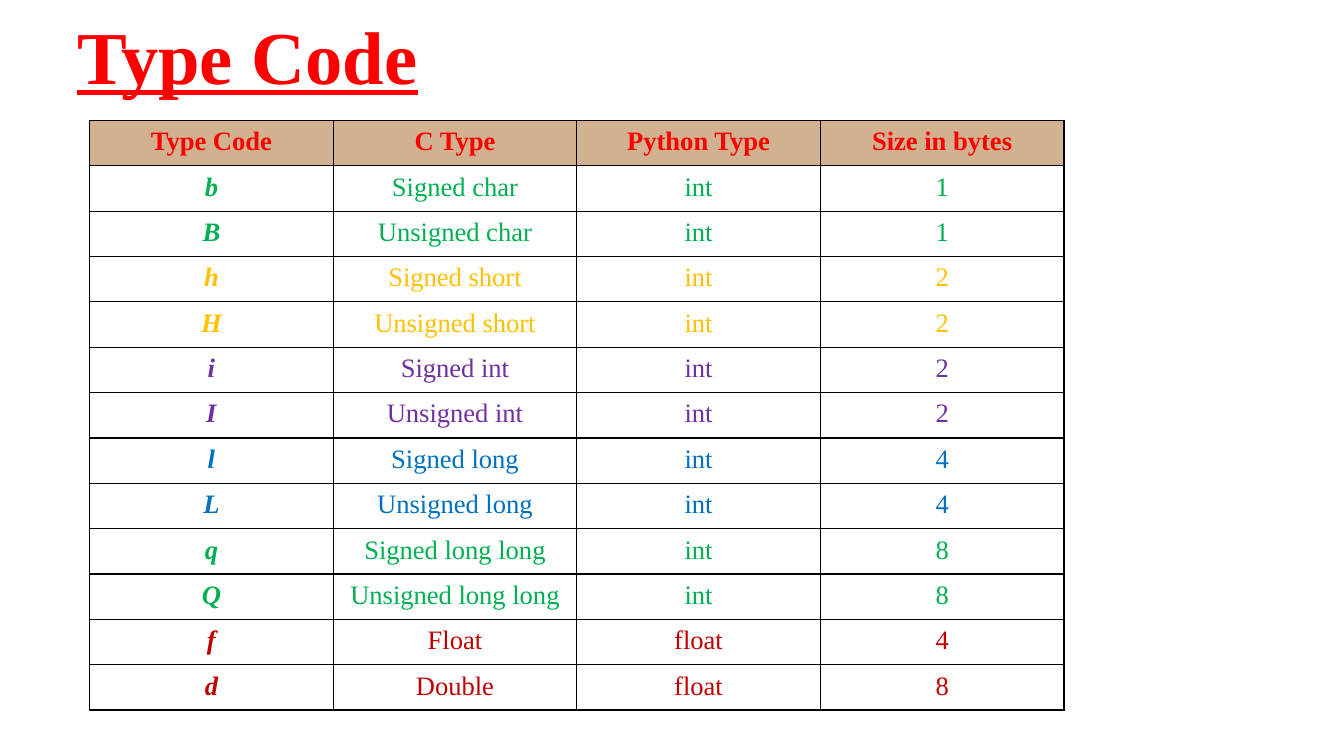
from lxml.etree import SubElement
from pptx import Presentation
from pptx.dml.color import RGBColor
from pptx.enum.text import MSO_ANCHOR, PP_ALIGN
from pptx.oxml.ns import qn
from pptx.util import Pt

COLORS = {
    "red": "FF0000", "tan": "D2B191", "black": "000000", "green": "00B050",
    "gold": "FFC000", "purple": "7030A0", "blue": "0070C0", "dark_red": "C00000",
}
FONT = "Times New Roman"
HEADER = ("Type Code", "C Type", "Python Type", "Size in bytes")
TYPES = [
    ("b", "Signed char", "int", "1", "green"),
    ("B", "Unsigned char", "int", "1", "green"),
    ("h", "Signed short", "int", "2", "gold"),
    ("H", "Unsigned short", "int", "2", "gold"),
    ("i", "Signed int", "int", "2", "purple"),
    ("I", "Unsigned int", "int", "2", "purple"),
    ("l", "Signed long", "int", "4", "blue"),
    ("L", "Unsigned long", "int", "4", "blue"),
    ("q", "Signed long long", "int", "8", "green"),
    ("Q", "Unsigned long long", "int", "8", "green"),
    ("f", "Float", "float", "4", "dark_red"),
    ("d", "Double", "float", "8", "dark_red"),
]


def rgb(name):
    return RGBColor.from_string(COLORS[name])


def add_text(p, text, color, **fmt):
    r = p.add_run()
    r.text = text
    for key, value in {"name": FONT, **fmt}.items():
        setattr(r.font, key, value)
    r.font.color.rgb = rgb(color)


def add_title(slide, x, y, w, h):
    tf = slide.shapes.add_textbox(Pt(x), Pt(y), Pt(w), Pt(h)).text_frame
    tf.word_wrap = True
    tf.vertical_anchor = MSO_ANCHOR.MIDDLE
    p = tf.paragraphs[0]
    p.line_spacing = 0.9
    add_text(p, "Type Code", "red", size=Pt(53.3), bold=True, underline=True)


def set_borders(cell):
    """Draw a 1 pt black line on each side; called before the fill is set."""
    tc_pr = cell._tc.get_or_add_tcPr()
    for side in ("a:lnL", "a:lnR", "a:lnT", "a:lnB"):
        ln = SubElement(tc_pr, qn(side), w=str(Pt(1)))
        fill = SubElement(ln, qn("a:solidFill"))
        SubElement(fill, qn("a:srgbClr"), val=COLORS["black"])


def fill_cell(cell, text, color, fill=None, **fmt):
    margins = {"margin_left": 9.6, "margin_right": 9.6,
               "margin_top": 4.8, "margin_bottom": 4.8}
    for key, value in margins.items():
        setattr(cell, key, Pt(value))
    set_borders(cell)
    if fill:
        cell.fill.solid()
        cell.fill.fore_color.rgb = rgb(fill)
    else:
        cell.fill.background()
    p = cell.text_frame.paragraphs[0]
    p.alignment = PP_ALIGN.CENTER
    add_text(p, text, color, size=Pt(19), **fmt)


def add_type_table(slide, x, y, w, h):
    rows, cols = len(TYPES) + 1, len(HEADER)
    table = slide.shapes.add_table(rows, cols, Pt(x), Pt(y), Pt(w), Pt(h)).table
    table.first_row = table.horz_banding = False
    for j, text in enumerate(HEADER):
        fill_cell(table.cell(0, j), text, "red", fill="tan", bold=True, italic=False)
    for i, (*values, color) in enumerate(TYPES, 1):
        for j, text in enumerate(values):
            is_code = j == 0
            fill_cell(table.cell(i, j), text, color, bold=is_code, italic=is_code)


def main():
    prs = Presentation()
    prs.slide_width, prs.slide_height = Pt(960), Pt(540)
    slide = prs.slides.add_slide(prs.slide_layouts[6])
    add_title(slide, 48, -2, 864, 90)
    add_type_table(slide, 64, 86, 696, 416)
    prs.save("out.pptx")


if __name__ == "__main__":
    main()
